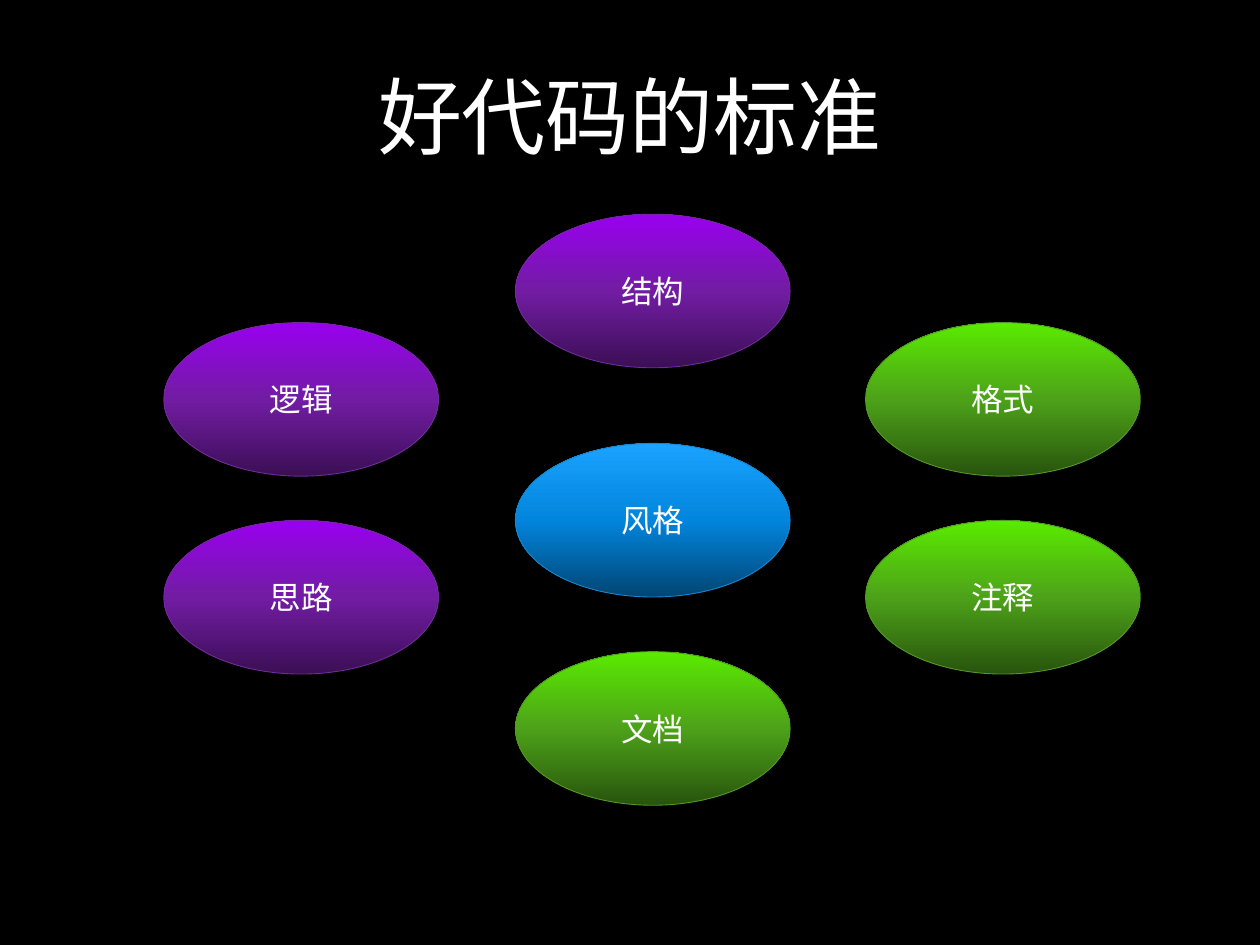
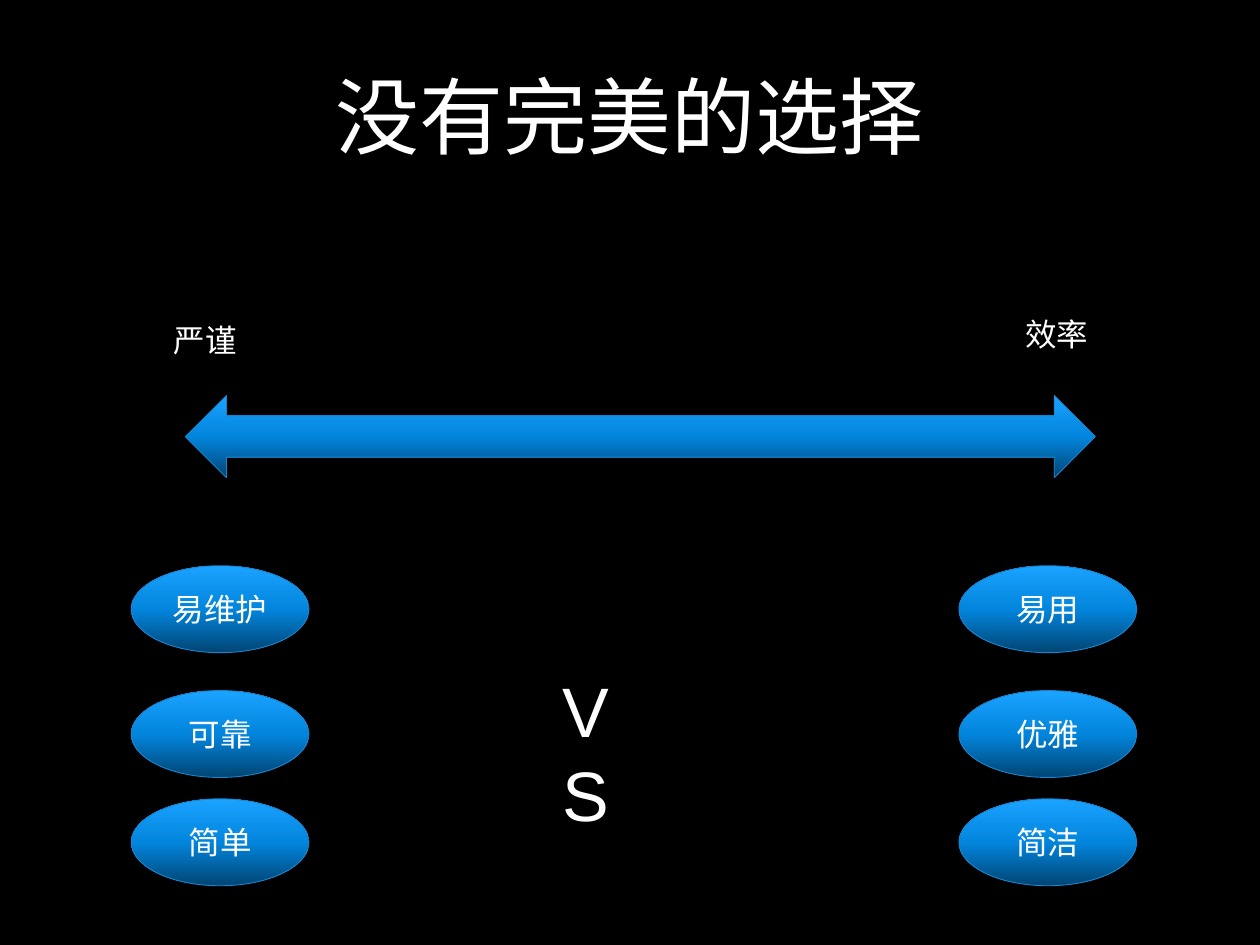
"""Build two dark slides on what makes good code and on its trade-offs."""
import copy
from dataclasses import dataclass
from typing import Any

import pptx
import pptx.dml.color
import pptx.enum.shapes
import pptx.enum.text
import pptx.oxml.ns
import pptx.util

Pt = pptx.util.Pt
RGBColor = pptx.dml.color.RGBColor
Shapes = pptx.enum.shapes.MSO_SHAPE
Anchor = pptx.enum.text.MSO_ANCHOR
Align = pptx.enum.text.PP_ALIGN
AutoSize = pptx.enum.text.MSO_AUTO_SIZE

COLOURS = {
    "background": "000000",
    "text": "FFFFFF",
    "purple_low": "3B0F55", "purple_mid": "721CA3", "purple_high": "9900F0", "purple_line": "712A99",
    "blue_low": "014573", "blue_mid": "0285DD", "blue_high": "1AA3FF", "blue_line": "1884CD",
    "green_low": "28540D", "green_mid": "4DA219", "green_high": "5AEB00", "green_line": "529827",
}
STOPS = {"low": 0, "mid": 0.5, "high": 1}

CENTRED = {"vertical_anchor": Anchor.MIDDLE, "word_wrap": True, "auto_size": AutoSize.NONE}
LABEL_FRAME = {"word_wrap": False, "auto_size": AutoSize.SHAPE_TO_FIT_TEXT}
STACKED_FRAME = {"word_wrap": True, "auto_size": AutoSize.NONE,
                 "margin_top": Pt(8.6), "margin_right": Pt(28.8)}


@dataclass(frozen=True)
class Area:
    left: float
    top: float
    width: float
    height: float

    def lengths(self) -> list[int]:
        return [Pt(value) for value in (self.left, self.top, self.width, self.height)]


@dataclass(frozen=True)
class Glossy:
    area: Area
    hue: str = "blue"
    text: str = ""
    preset: Any = Shapes.OVAL


@dataclass(frozen=True)
class Label:
    area: Area
    text: str
    size: float
    frame: dict[str, Any]


TITLE_AREA = Area(54, 9.4, 612, 112.3)
LEFT, MIDDLE, RIGHT = 93.6, 294.5, 494.6
UPPER, LOWER = 184.3, 297.4
STANDARDS = [
    Glossy(Area(left, top, 157, 87.8), hue, text)
    for left, top, hue, text in (
        (LEFT, UPPER, "purple", "逻辑"),
        (MIDDLE, 122.4, "purple", "结构"),
        (MIDDLE, 253.4, "blue", "风格"),
        (LEFT, LOWER, "purple", "思路"),
        (MIDDLE, 372.4, "green", "文档"),
        (RIGHT, LOWER, "green", "注释"),
        (RIGHT, UPPER, "green", "格式"),
    )
]

SCALE = Glossy(Area(106, 226, 520, 47), preset=Shapes.LEFT_RIGHT_ARROW)
QUALITY_TOPS = (323.3, 394.6, 456.5)
QUALITIES = [
    Glossy(Area(left, top, 101.5, 49.7), text=text)
    for left, texts in ((548, ("易用", "优雅", "简洁")), (75, ("易维护", "可靠", "简单")))
    for top, text in zip(QUALITY_TOPS, texts)
]
LABELS = [
    Label(Area(578.9, 176.4, 51.1, 28.8), "效率", 18, LABEL_FRAME),
    Label(Area(92.2, 180, 51.1, 28.8), "严谨", 18, LABEL_FRAME),
    Label(Area(314.6, 373, 64.8, 106), "VS", 40, STACKED_FRAME),
]


def colour(name: str) -> RGBColor:
    return RGBColor.from_string(COLOURS[name])


def apply(target: Any, values: dict[str, Any]) -> None:
    for name, value in values.items():
        setattr(target, name, value)


def write(box: Any, text: str, size: float, frame: dict[str, Any], alignment: Any) -> None:
    apply(box.text_frame, frame)
    para = box.text_frame.paragraphs[0]
    para.alignment = alignment
    span = para.add_run()
    span.text = text
    apply(span.font, {"size": Pt(size), "name": "Arial"})
    span.font.color.rgb = colour("text")


def paint_gradient(shape: Any, hue: str) -> None:
    shape.fill.gradient()
    shape.fill.gradient_angle = 90
    stop_list = next(shape.element.iter(pptx.oxml.ns.qn("a:gsLst")))
    stop_list.append(copy.deepcopy(stop_list[-1]))
    for stop, (tone, position) in zip(shape.fill.gradient_stops, STOPS.items()):
        stop.position = position
        stop.color.rgb = colour(f"{hue}_{tone}")


def add_glossy(page: Any, item: Glossy) -> None:
    shape = page.shapes.add_shape(item.preset, *item.area.lengths())
    shape.shadow.inherit = False
    paint_gradient(shape, item.hue)
    shape.line.color.rgb = colour(f"{item.hue}_line")
    shape.line.width = Pt(0.5)
    if item.text:
        write(shape, item.text, 18, CENTRED, Align.CENTER)


def add_label(page: Any, item: Label) -> None:
    box = page.shapes.add_textbox(*item.area.lengths())
    write(box, item.text, item.size, item.frame, Align.LEFT)


def add_page(deck: Any, title: str) -> Any:
    page = deck.slides.add_slide(deck.slide_layouts.get_by_name("Title Only"))
    box = page.shapes.title
    apply(box, dict(zip(("left", "top", "width", "height"), TITLE_AREA.lengths())))
    write(box, title, 48, CENTRED, Align.CENTER)
    return page


def main() -> None:
    deck = pptx.Presentation()
    apply(deck, {"slide_width": Pt(720), "slide_height": Pt(540)})
    backdrop = deck.slide_master.background.fill
    backdrop.solid()
    backdrop.fore_color.rgb = colour("background")

    standards_page = add_page(deck, "好代码的标准")
    for item in STANDARDS:
        add_glossy(standards_page, item)

    choice_page = add_page(deck, "没有完美的选择")
    for item in (SCALE, *QUALITIES):
        add_glossy(choice_page, item)
    for label in LABELS:
        add_label(choice_page, label)

    deck.save("out.pptx")


if __name__ == "__main__":
    main()
